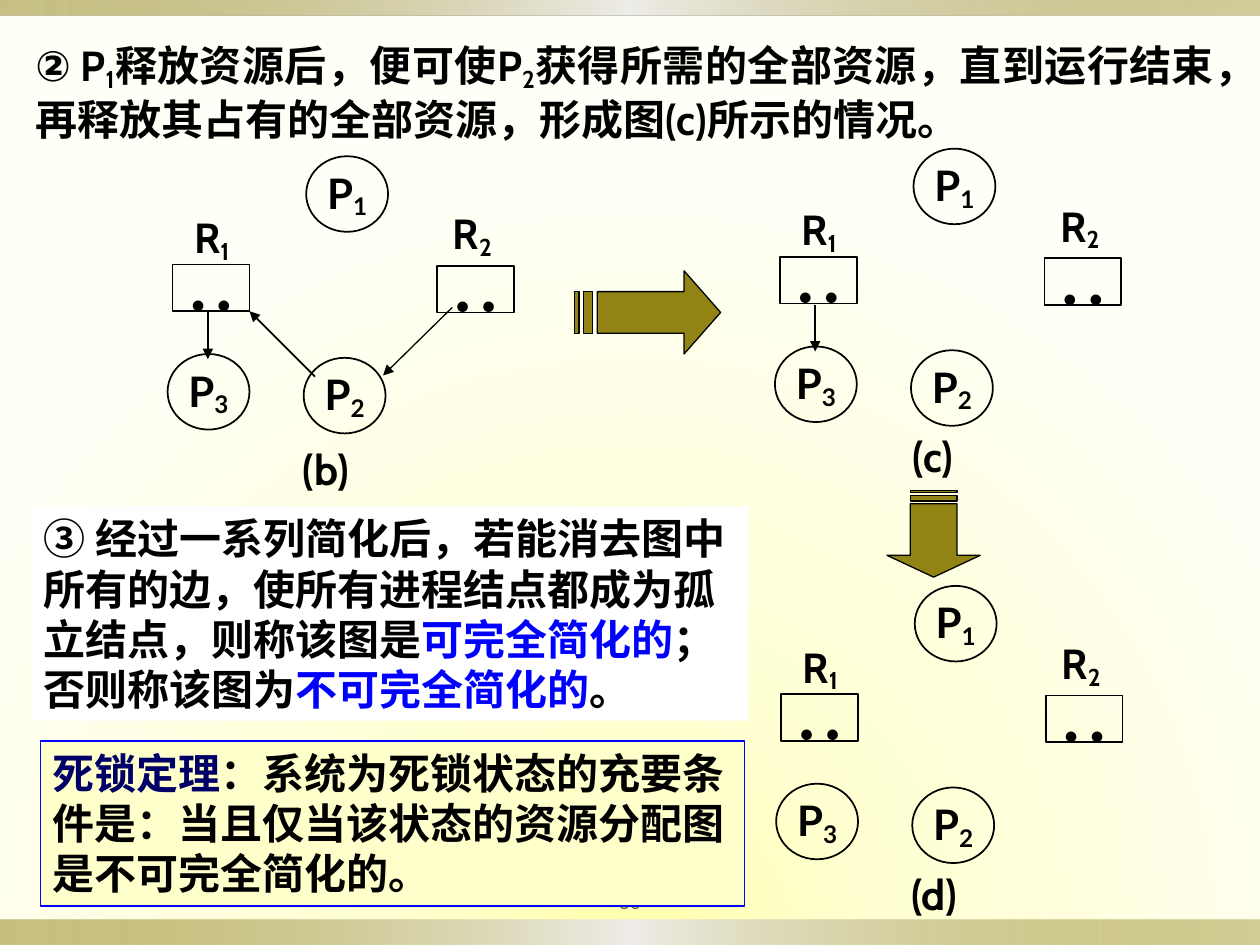
from dataclasses import dataclass
from typing import Optional

from lxml.etree import SubElement
from pptx import Presentation
from pptx.dml.color import RGBColor
from pptx.enum.shapes import MSO_CONNECTOR, MSO_SHAPE
from pptx.enum.text import MSO_ANCHOR, PP_ALIGN
from pptx.oxml import parse_xml
from pptx.oxml.ns import nsdecls, qn
from pptx.util import Inches, Pt

BLACK = RGBColor(0, 0, 0)
WHITE = RGBColor(255, 255, 255)
BLUE = RGBColor(0, 0, 255)
NAVY = RGBColor(0, 0, 0x66)
GREY = RGBColor(0x63, 0x63, 0x63)
CREAM = RGBColor(255, 255, 0xCC)
OLIVE = RGBColor(0x91, 0x84, 0x15)
SLIDE_W, SLIDE_H = 10, 7.5
LABEL_INSETS = (0.06, 0.01, 0.06, 0.01)
BOX_INSETS = (0.1, 0.05, 0.1, 0.05)


@dataclass(frozen=True)
class Run:
    text: str
    color: RGBColor = BLACK
    baseline: int = 0


@dataclass(frozen=True)
class Style:
    font: str = "Cabin"
    size: float = 24
    bold: bool = True
    align: PP_ALIGN = PP_ALIGN.CENTER
    anchor: MSO_ANCHOR = MSO_ANCHOR.TOP
    insets: tuple = BOX_INSETS
    wrap: bool = True


@dataclass(frozen=True)
class Node:
    kind: str
    number: str
    x: float
    y: float


@dataclass(frozen=True)
class Edge:
    x1: float
    y1: float
    x2: float
    y2: float
    width: float = 1


@dataclass(frozen=True)
class Graph:
    dx: float
    dy: float
    caption: str
    caption_y: float
    edges: tuple


NODE_STYLE = Style("Lato", anchor=MSO_ANCHOR.MIDDLE, insets=LABEL_INSETS, wrap=False)
DOTS_STYLE = Style("Lato", insets=(0.06, 0, 0.06, 0.01), wrap=False)
LEFT_STYLE = Style(align=PP_ALIGN.LEFT)
NODES = (
    Node("P", "1", 2.43, 1.24),
    Node("dots", "1", 1.37, 2.1),
    Node("R", "1", 1.24, 1.63),
    Node("dots", "2", 3.47, 2.11),
    Node("R", "2", 3.31, 1.6),
    Node("P", "2", 2.41, 2.84),
    Node("P", "3", 1.33, 2.81),
)
R1_TO_P3 = Edge(1.65, 2.48, 1.65, 2.85)
GRAPHS = (
    Graph(0, 0, "(b)", 3.47,
          (R1_TO_P3, Edge(2.5, 2.99, 1.98, 2.47), Edge(3.59, 2.44, 3.04, 2.98, 0.75))),
    Graph(4.82, -0.06, "(c)", 3.37, (R1_TO_P3,)),
    Graph(4.83, 3.41, "(d)", 6.84, ()),
)
ARROW_CONTOURS = (
    ((0.75, 0), (0.75, 0.25), (5 / 32, 0.25), (5 / 32, 0.75), (0.75, 0.75), (0.75, 1), (1, 0.5)),
    ((1 / 16, 0.25), (1 / 16, 0.75), (1 / 8, 0.75), (1 / 8, 0.25)),
    ((0, 0.25), (0, 0.75), (1 / 32, 0.75), (1 / 32, 0.25)),
)


def write(sp, runs: tuple, style: Style) -> None:
    tf = sp.text_frame
    left, top, right, bottom = map(Inches, style.insets)
    frame = dict(margin_left=left, margin_top=top, margin_right=right, margin_bottom=bottom,
                 vertical_anchor=style.anchor, word_wrap=style.wrap)
    for name, value in frame.items():
        setattr(tf, name, value)
    p = tf.paragraphs[0]
    p.alignment = style.align
    for run in runs:
        r = p.add_run()
        r.text = run.text
        for name, value in dict(name=style.font, size=Pt(style.size), bold=style.bold).items():
            setattr(r.font, name, value)
        r.font.color.rgb = run.color
        if run.baseline:
            r._r.get_or_add_rPr().set("baseline", str(run.baseline * 1000))


def paint(sp, fill: Optional[RGBColor], line: Optional[RGBColor], width: float = 1) -> None:
    sp.shadow.inherit = False
    if fill is None:
        sp.fill.background()
    else:
        sp.fill.solid()
        sp.fill.fore_color.rgb = fill
    if line is None:
        sp.line.fill.background()
    else:
        sp.line.color.rgb = line
        sp.line.width = Pt(width)


def add_shape(shapes, kind, x: float, y: float, w: float, h: float):
    return shapes.add_shape(kind, *map(Inches, (x, y, w, h)))


def add_text(shapes, x: float, y: float, w: float, h: float, runs: tuple, style: Style) -> None:
    write(shapes.add_textbox(*map(Inches, (x, y, w, h))), runs, style)


def gradient(stops: tuple, shade: str):
    gs = "".join(f'<a:gs pos="{pos * 1000}"><a:srgbClr val="{rgb}"><a:alpha val="{alpha * 1000}"/>'
                 f'</a:srgbClr></a:gs>' for pos, rgb, alpha in stops)
    return parse_xml(f'<a:gradFill {nsdecls("a")} rotWithShape="1"><a:gsLst>{gs}</a:gsLst>{shade}</a:gradFill>')


def add_bar(shapes, y: float, h: float) -> None:
    sp = add_shape(shapes, MSO_SHAPE.RECTANGLE, 0, y, SLIDE_W, h)
    paint(sp, OLIVE, None)
    solid = sp._element.spPr.find(qn("a:solidFill"))
    stops = ((0, OLIVE, 50), (50, "EEEDE8", 100), (100, OLIVE, 40))
    solid.getparent().replace(solid, gradient(stops, '<a:lin ang="0" scaled="0"/>'))


def add_striped_arrow(shapes, x: float, y: float, w: float, h: float, down: bool = False) -> None:
    head, *stripes = [
        [(Inches(x + w * (v if down else u)), Inches(y + h * (u if down else v))) for u, v in contour]
        for contour in ARROW_CONTOURS]
    builder = shapes.build_freeform(*head[0])
    builder.add_line_segments(head[1:], close=True)
    for stripe in stripes:
        builder.move_to(*stripe[0])
        builder.add_line_segments(stripe[1:], close=True)
    paint(builder.convert_to_shape(), OLIVE, BLACK, 0.75)


def add_edge(shapes, edge: Edge, dx: float, dy: float) -> None:
    ends = (edge.x1 + dx, edge.y1 + dy, edge.x2 + dx, edge.y2 + dy)
    c = shapes.add_connector(MSO_CONNECTOR.STRAIGHT, *map(Inches, ends))
    c.line.color.rgb = BLACK
    c.line.width = Pt(edge.width)
    SubElement(c.line._get_or_add_ln(), qn("a:tailEnd"), type="triangle")
    SubElement(c._element.spPr, qn("a:effectLst"))


def add_node(shapes, node: Node, dx: float, dy: float) -> None:
    x, y = node.x + dx, node.y + dy
    runs = (Run(node.kind), Run(node.number, baseline=-16))
    if node.kind == "R":
        add_text(shapes, x, y, 0.88, 0.5, runs, Style())
    elif node.kind == "P":
        sp = add_shape(shapes, MSO_SHAPE.OVAL, x, y, 0.65, 0.6)
        paint(sp, None, BLACK)
        write(sp, runs, NODE_STYLE)
    else:
        sp = add_shape(shapes, MSO_SHAPE.RECTANGLE, x, y, 0.61, 0.37)
        paint(sp, None, BLACK)
        write(sp, (Run("•  •", baseline=-16),), DOTS_STYLE)


def add_graph(shapes, graph: Graph) -> None:
    members = shapes.add_group_shape().shapes
    for node in NODES:
        add_node(members, node, graph.dx, graph.dy)
    for edge in graph.edges:
        add_edge(members, edge, graph.dx, graph.dy)
    add_text(members, 2.06 + graph.dx, graph.caption_y, 1.05, 0.5, (Run(graph.caption),), Style())


def add_panel(shapes, box: tuple, fill: RGBColor, line: Optional[RGBColor], runs: tuple) -> None:
    sp = add_shape(shapes, MSO_SHAPE.RECTANGLE, *box)
    paint(sp, fill, line, 0.75)
    write(sp, runs, LEFT_STYLE)


prs = Presentation()
prs.slide_width, prs.slide_height = Inches(SLIDE_W), Inches(SLIDE_H)
s = prs.slides.add_slide(prs.slide_layouts[5])
s.background.fill.solid()
backdrop = s.background._cSld.bg.bgPr
backdrop.replace(backdrop[0], gradient(
    ((0, "FFFFAC", 100), (31, "FFFFD2", 100), (100, "FFFFF7", 100)),
    '<a:path path="circle"><a:fillToRect l="50000" t="150000" r="50000"/></a:path>'))

title = s.shapes.title
for side, value in dict(left=0.18, top=0.26, width=9.56, height=0.9).items():
    setattr(title, side, Inches(value))
write(title, (Run("② P"), Run("1", baseline=-18), Run("释放资源后，便可使P"), Run("2", baseline=-18),
              Run("获得所需的全部资源，直到运行结束，再释放其占有的全部资源，形成图(c)所示的情况。")),
      Style(align=PP_ALIGN.JUSTIFY))
add_bar(s.shapes, 7.3, 0.2)
add_bar(s.shapes, 0, 0.12)
add_text(s.shapes, 4.5, 7, 1, 0.31, (Run("60", GREY),),
         Style("Lato", 11, False, anchor=MSO_ANCHOR.MIDDLE, insets=(0.05,) * 4))
add_striped_arrow(s.shapes, 4.56, 2.15, 1.16, 0.66)
add_striped_arrow(s.shapes, 7.04, 3.89, 0.74, 0.69, down=True)
add_panel(s.shapes, (0.25, 4.02, 5.69, 1.7), WHITE, None, (
    Run("③ 经过一系列简化后，若能消去图中所有的边，使所有进程结点都成为孤立结点，则称该图是"),
    Run("可完全简化的", BLUE), Run("；否则称该图为"), Run("不可完全简化的", BLUE), Run("。")))
add_panel(s.shapes, (0.32, 5.88, 5.59, 1.31), CREAM, BLUE, (
    Run("死锁定理", NAVY),
    Run("：系统为死锁状态的充要条件是：当且仅当该状态的资源分配图是不可完全简化的。")))
for graph in GRAPHS:
    add_graph(s.shapes, graph)
prs.save("out.pptx")
